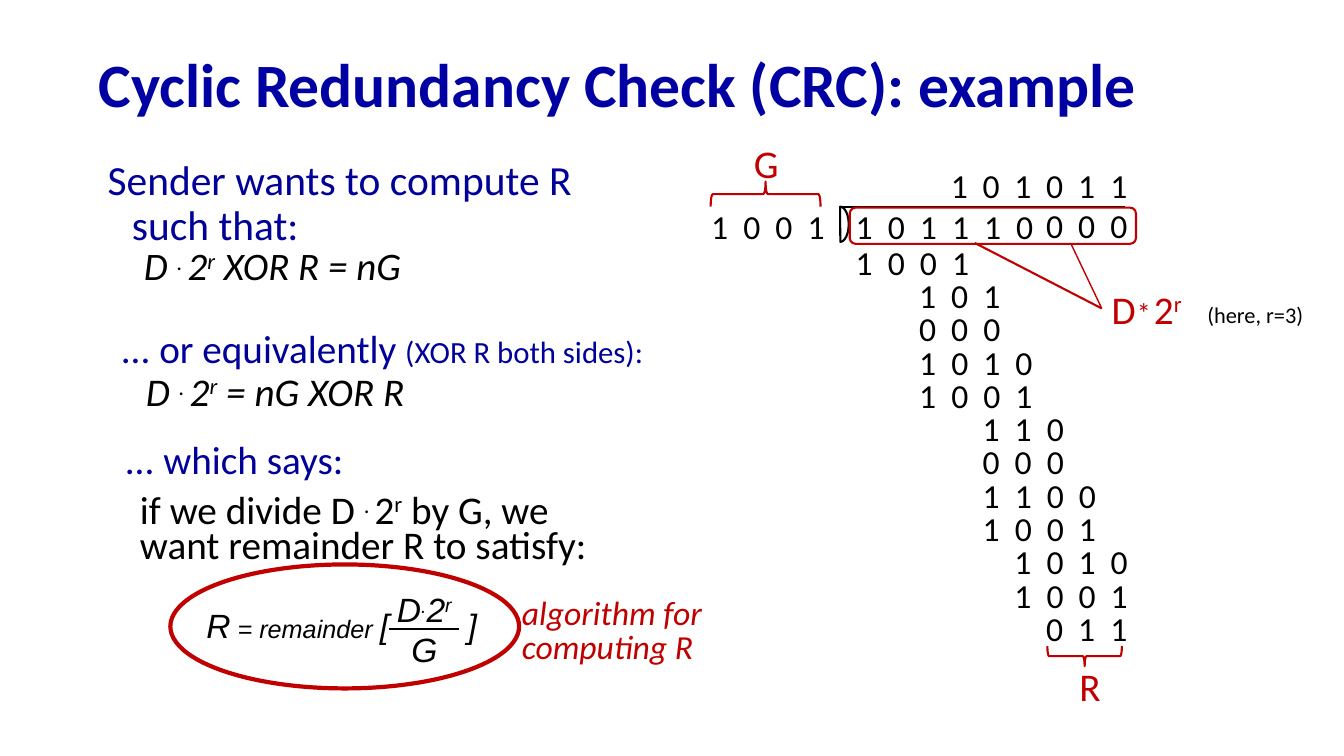
from dataclasses import dataclass

from lxml import etree
from pptx import Presentation
from pptx.dml.color import RGBColor
from pptx.enum.shapes import MSO_CONNECTOR, MSO_SHAPE
from pptx.enum.text import MSO_ANCHOR, PP_ALIGN
from pptx.oxml.ns import qn
from pptx.slide import Slide
from pptx.util import Inches, Pt

STRAIGHT = MSO_CONNECTOR.STRAIGHT
BRACE = MSO_SHAPE.RIGHT_BRACE
ELLIPSE = MSO_SHAPE.OVAL
PIE = MSO_SHAPE.PIE
ROUNDED = MSO_SHAPE.ROUNDED_RECTANGLE
LEFT = PP_ALIGN.LEFT
CENTER = PP_ALIGN.CENTER
TOP = MSO_ANCHOR.TOP
MIDDLE = MSO_ANCHOR.MIDDLE

CELL = Inches(0.1)
PAGE_COLUMNS, PAGE_ROWS = 133.33, 75


@dataclass(frozen=True)
class Theme:
    font: str = "Calibri"
    formula_font: str = "Arial"
    title_color: str = "0000A3"
    lead_color: str = "000099"
    ink: str = "000000"
    accent: str = "C00000"
    title: float = 44
    lead: float = 29.6
    equation: float = 27.8
    body: float = 28
    aside: float = 22
    digit: float = 24
    remainder: float = 18
    star: float = 20
    note: float = 16


THEME = Theme()


@dataclass(frozen=True)
class Span:
    text: str
    raised: int = 0
    size: float | None = None


@dataclass(frozen=True)
class Para:
    spans: tuple[Span, ...]
    size: float
    color: str = THEME.ink
    font: str = THEME.font
    bold: bool = False
    italic: bool = False
    align: PP_ALIGN = LEFT
    line: float = 1.0
    before: float = 0
    margin: float = 0
    indent: float = 0
    tracking: float = 0


@dataclass(frozen=True)
class Frame:
    column: float
    row: float
    columns: float
    rows: float


@dataclass(frozen=True)
class Outline:
    kind: MSO_SHAPE
    frame: Frame
    color: str = THEME.accent
    weight: float = 1.5
    turn: float = 0


@dataclass(frozen=True)
class Stroke:
    start: tuple[float, float]
    end: tuple[float, float]
    color: str = THEME.accent
    weight: float = 1.5


@dataclass(frozen=True)
class Digits:
    text: str
    column: int
    row: float


def cells(count: float) -> int:
    return round(count * CELL)


def place(frame: Frame) -> tuple[int, ...]:
    return tuple(map(cells, (frame.column, frame.row, frame.columns, frame.rows)))


def add_text(page: Slide, frame: Frame, *paras: Para, anchor: MSO_ANCHOR = TOP) -> None:
    text_frame = page.shapes.add_textbox(*place(frame)).text_frame
    text_frame.word_wrap = True
    text_frame.vertical_anchor = anchor
    for index, item in enumerate(paras):
        para = text_frame.add_paragraph() if index else text_frame.paragraphs[0]
        para.alignment = item.align
        para.line_spacing = item.line
        para.space_before = Pt(item.before)
        properties = para._p.get_or_add_pPr()
        properties.set("marL", str(cells(item.margin)))
        properties.set("indent", str(cells(item.indent)))
        para.font.name = item.font
        para.font.size = Pt(item.size)
        para.font.bold = item.bold
        para.font.italic = item.italic
        para.font.color.rgb = RGBColor.from_string(item.color)
        for part in item.spans:
            span = para.add_run()
            span.text = part.text
            if part.size:
                span.font.size = Pt(part.size)
            if part.raised:
                span._r.get_or_add_rPr().set("baseline", str(part.raised * 1000))
            if item.tracking:
                span._r.get_or_add_rPr().set("spc", str(round(item.tracking * 100)))


def add_outline(page: Slide, outline: Outline) -> None:
    shape = page.shapes.add_shape(outline.kind, *place(outline.frame))
    shape.shadow.inherit = False
    shape.fill.background()
    shape.line.color.rgb = RGBColor.from_string(outline.color)
    shape.line.width = Pt(outline.weight)
    shape.rotation = outline.turn
    if outline.kind == PIE:
        shape.adjustments[0] = 0
        shape.adjustments[1] = 107.5


def add_stroke(page: Slide, stroke: Stroke) -> None:
    line = page.shapes.add_connector(STRAIGHT, *map(cells, stroke.start + stroke.end))
    line.line.color.rgb = RGBColor.from_string(stroke.color)
    line.line.width = Pt(stroke.weight)
    etree.SubElement(line._element.spPr, qn("a:effectLst"))


def add_digits(page: Slide, digits: Digits) -> None:
    frame = Frame(83.9 + 3.15 * digits.column, 23.5 + 3.3 * digits.row, 1 + 3.2 * len(digits.text), 5)
    add_text(page, frame, Para((Span(" ".join(digits.text)),), THEME.digit, tracking=2.7))


def label(text: str, size: float = THEME.body, color: str = THEME.accent) -> Para:
    return Para((Span(text),), size, color)


POWER = (Span("D "), Span(". ", 26), Span("2"), Span("r", 30))

QUOTIENT_ROW, DIVIDEND_ROW = -2.32, -1.07
DIVISION = (
    Digits("1", 3, QUOTIENT_ROW), Digits("0", 4, QUOTIENT_ROW), Digits("1", 5, QUOTIENT_ROW),
    Digits("011", 6, QUOTIENT_ROW),
    Digits("101110", 0, DIVIDEND_ROW), Digits("000", 6, DIVIDEND_ROW - 0.03),
    Digits("1001", -4.55, DIVIDEND_ROW - 0.02),
) + tuple(Digits(text, column, row) for row, (text, column) in enumerate((
    ("1001", 0), ("101", 2), ("000", 2), ("1010", 2), ("1001", 2), ("110", 4),
    ("000", 4), ("1100", 4), ("1001", 4), ("1010", 5), ("1001", 5), ("011", 6),
)))

OUTLINES = (
    Outline(BRACE, Frame(106.6, 61.4, 2, 7.4), turn=90),
    Outline(BRACE, Frame(74.7, 13.8, 2.5, 10.9), turn=270),
    Outline(PIE, Frame(81.6, 21.4, 3.5, 1.7), THEME.ink, turn=270),
    Outline(ROUNDED, Frame(84.3, 20.6, 28.4, 3.6)),
    Outline(ELLIPSE, Frame(16.9, 56, 34.6, 12.3), weight=3),
)

STROKES = (
    Stroke((38.6, 62.4), (45.5, 62.4), THEME.ink),
    Stroke((83.5, 20.5), (111.6, 20.5), THEME.ink),
    Stroke((96.7, 24.1), (109.3, 30.6)),
    Stroke((106.3, 24.3), (109.3, 30.6), weight=1),
)

LABELS = (
    (Frame(109.3, 27.8, 4.4, 5.7), label("D")),
    (Frame(111.8, 28.8, 3.4, 4.4), label("*", THEME.star)),
    (Frame(113.5, 27.8, 7, 5.7), Para((Span("2"), Span("r", 30)), THEME.body, THEME.accent)),
    (Frame(118.8, 29.4, 13, 3.7), label("(here, r=3)", THEME.note, THEME.ink)),
    (Frame(106.1, 65.2, 4.2, 5.7), label("R")),
    (Frame(73.8, 13.3, 4.5, 5.7), label("G")),
)


def add_explanation(page: Slide) -> None:
    add_text(page, Frame(8.2, 15.4, 55.9, 14.6),
             Para((Span("Sender wants to compute R such that:"),), THEME.lead, THEME.lead_color,
                  line=0.9, before=10, margin=3.9, indent=-2.4),
             Para(POWER + (Span(" XOR R = nG"),), THEME.equation, italic=True,
                  line=0.65, before=5, margin=7.6, indent=-2.5))
    add_text(page, Frame(8.4, 32.8, 57.4, 9.6),
             Para((Span("... or equivalently "), Span("(XOR R both sides):", size=THEME.aside)),
                  THEME.body, THEME.lead_color, line=0.75, before=10, margin=3.9, indent=-1.3),
             Para(POWER + (Span(" = nG XOR R"),), THEME.body, italic=True,
                  line=0.75, before=5, margin=7.6, indent=-2.5))
    add_text(page, Frame(7.9, 43.8, 54.5, 13.7),
             Para((Span("... which says:"),), THEME.body, THEME.lead_color,
                  line=0.75, before=10, margin=3.9, indent=-0.4),
             Para((Span("if we divide "),) + POWER + (Span(" by G, we want remainder R to satisfy:"),),
                  THEME.body, line=0.75, before=10, margin=5))


def add_formula(page: Slide) -> None:
    style = {"size": THEME.digit, "font": THEME.formula_font, "italic": True}
    add_text(page, Frame(34.8, 57.9, 14.6, 9),
             Para((Span("D"), Span(".", 26), Span("2"), Span("r", 30)), align=CENTER, **style),
             Para((Span("G"),), align=CENTER, **style))
    add_text(page, Frame(19.5, 59.5, 21, 5.2),
             Para((Span("R"), Span(" = remainder ", size=THEME.remainder), Span("[")), **style))
    add_text(page, Frame(45.4, 59.5, 4, 5.2), Para((Span("]"),), **style))
    caption = (Para((Span(text),), THEME.digit, THEME.accent, italic=True, line=0.85)
               for text in ("algorithm for", "computing R"))
    add_text(page, Frame(50.8, 58.8, 22, 7.9), *caption)


def main() -> None:
    deck = Presentation()
    deck.slide_width, deck.slide_height = cells(PAGE_COLUMNS), cells(PAGE_ROWS)
    page = deck.slides.add_slide(deck.slide_layouts[6])
    add_text(page, Frame(8.8, 3.8, 115, 9.8),
             Para((Span("Cyclic Redundancy Check (CRC): example"),), THEME.title, THEME.title_color,
                  bold=True, line=0.9), anchor=MIDDLE)
    add_explanation(page)
    add_formula(page)
    for digits in DIVISION:
        add_digits(page, digits)
    for frame, para in LABELS:
        add_text(page, frame, para)
    for stroke in STROKES:
        add_stroke(page, stroke)
    for outline in OUTLINES:
        add_outline(page, outline)
    deck.save("out.pptx")


if __name__ == "__main__":
    main()
